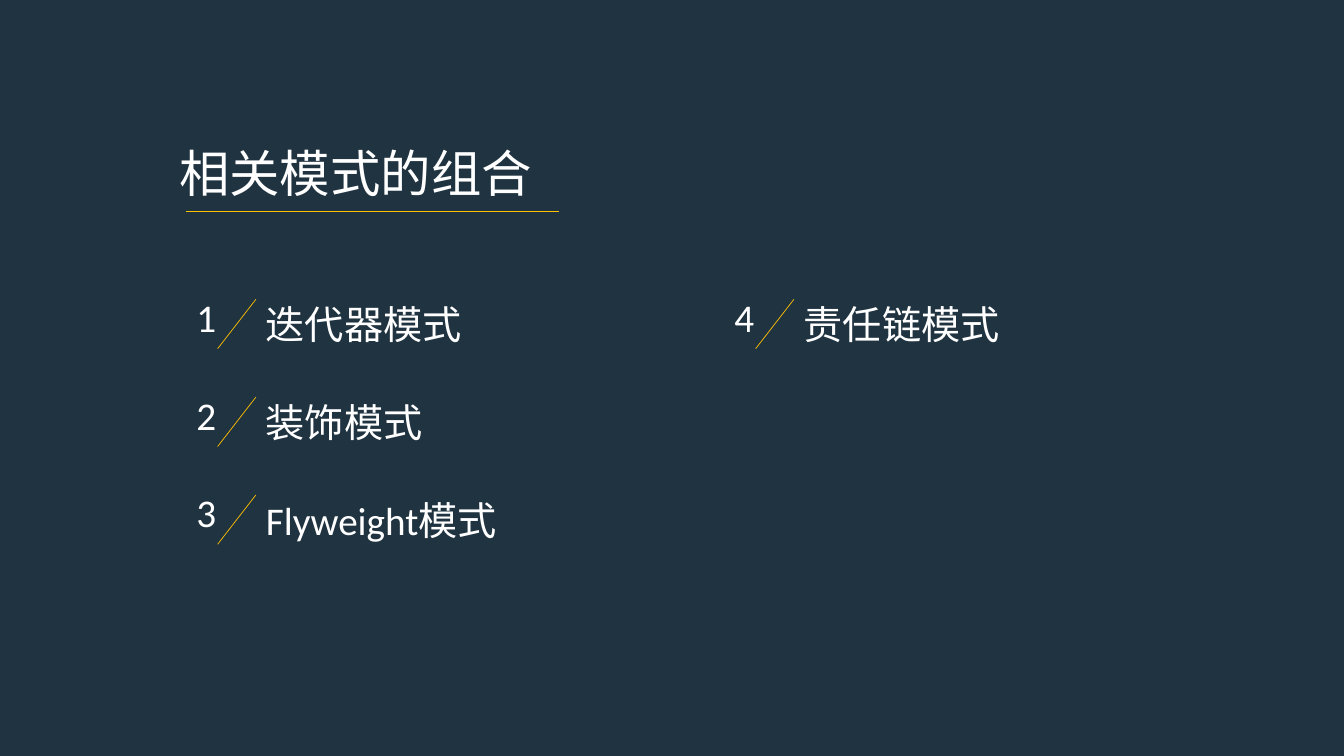
from lxml import etree
from pptx import Presentation
from pptx.dml.color import RGBColor
from pptx.enum.shapes import MSO_CONNECTOR
from pptx.oxml.ns import qn
from pptx.util import Pt

STRAIGHT = MSO_CONNECTOR.STRAIGHT
EMU_PER_PX = 9144  # 100 px to the inch

NAVY = RGBColor(0x20, 0x33, 0x41)
GOLD = RGBColor(0xFF, 0xC0, 0x00)
WHITE = RGBColor(0xFF, 0xFF, 0xFF)
LATIN_FONT = "Calibri"
CHINESE_FONT = "Noto Sans CJK SC"

TITLE = "相关模式的组合"
PATTERNS = ["迭代器模式", "装饰模式", "Flyweight模式", "责任链模式"]
ROWS = 3
FIRST_LEFT, FIRST_TOP = 185, 286
COLUMN_STEP, ROW_STEP = 534, 97
LABEL_WIDTHS = [344, 438]


def px(length):
    return length * EMU_PER_PX


def add_text(slide, text, left, top, width, height, size, font=LATIN_FONT):
    box = slide.shapes.add_textbox(px(left), px(top), px(width), px(height))
    frame = box.text_frame
    frame.word_wrap = True
    run = frame.paragraphs[0].add_run()
    run.text = text
    run.font.size = Pt(size)
    run.font.color.rgb = WHITE
    run.font.name = font
    # East Asian characters take their own typeface
    latin = run.font._element.find(qn("a:latin"))
    east_asian = etree.Element(qn("a:ea"), typeface=CHINESE_FONT)
    latin.addnext(east_asian)


def add_line(slide, x1, y1, x2, y2, weight):
    line = slide.shapes.add_connector(STRAIGHT, px(x1), px(y1), px(x2), px(y2))
    line.line.color.rgb = GOLD
    line.line.width = Pt(weight)
    etree.SubElement(line._element.spPr, qn("a:effectLst"))


def add_pattern(slide, number, name, left, top, label_width):
    """One numbered entry: label, slanted divider, number."""
    label_left = left + 69
    add_text(slide, name, label_left, top + 7, label_width, 57, 28)
    add_line(slide, label_left, top + 11, left + 31, top + 60, 0.5)
    add_text(slide, str(number), left, top, 36, 57, 28)


def main():
    presentation = Presentation()
    presentation.slide_width = px(1334)
    presentation.slide_height = px(750)
    slide = presentation.slides.add_slide(presentation.slide_layouts[6])
    slide.background.fill.solid()
    slide.background.fill.fore_color.rgb = NAVY

    # Title with underline
    add_text(slide, TITLE, 168, 136, 745, 70, 36, CHINESE_FONT)
    add_line(slide, 185, 210, 555, 210, 1)

    # Numbered patterns, filled column by column
    for index, name in enumerate(PATTERNS):
        column, row = divmod(index, ROWS)
        left = FIRST_LEFT + column * COLUMN_STEP
        top = FIRST_TOP + row * ROW_STEP
        add_pattern(slide, index + 1, name, left, top, LABEL_WIDTHS[column])

    presentation.save("out.pptx")


if __name__ == "__main__":
    main()
